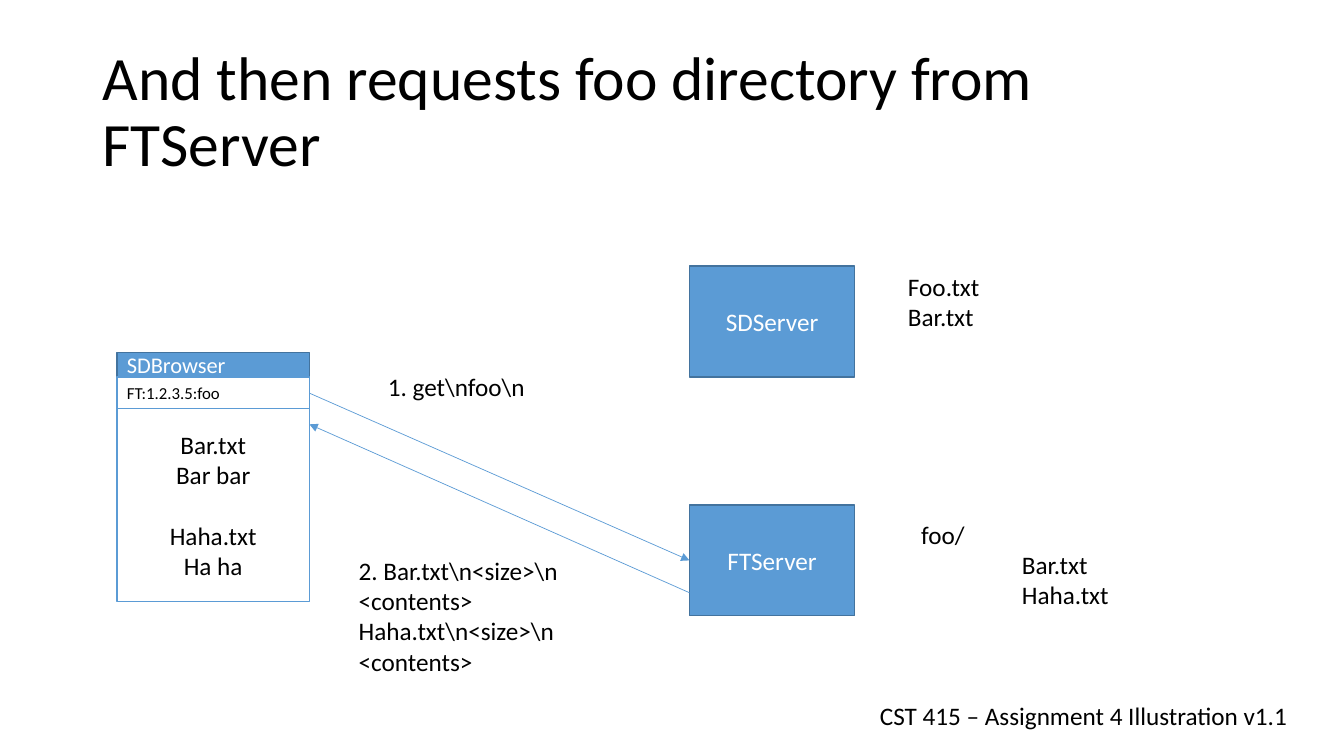
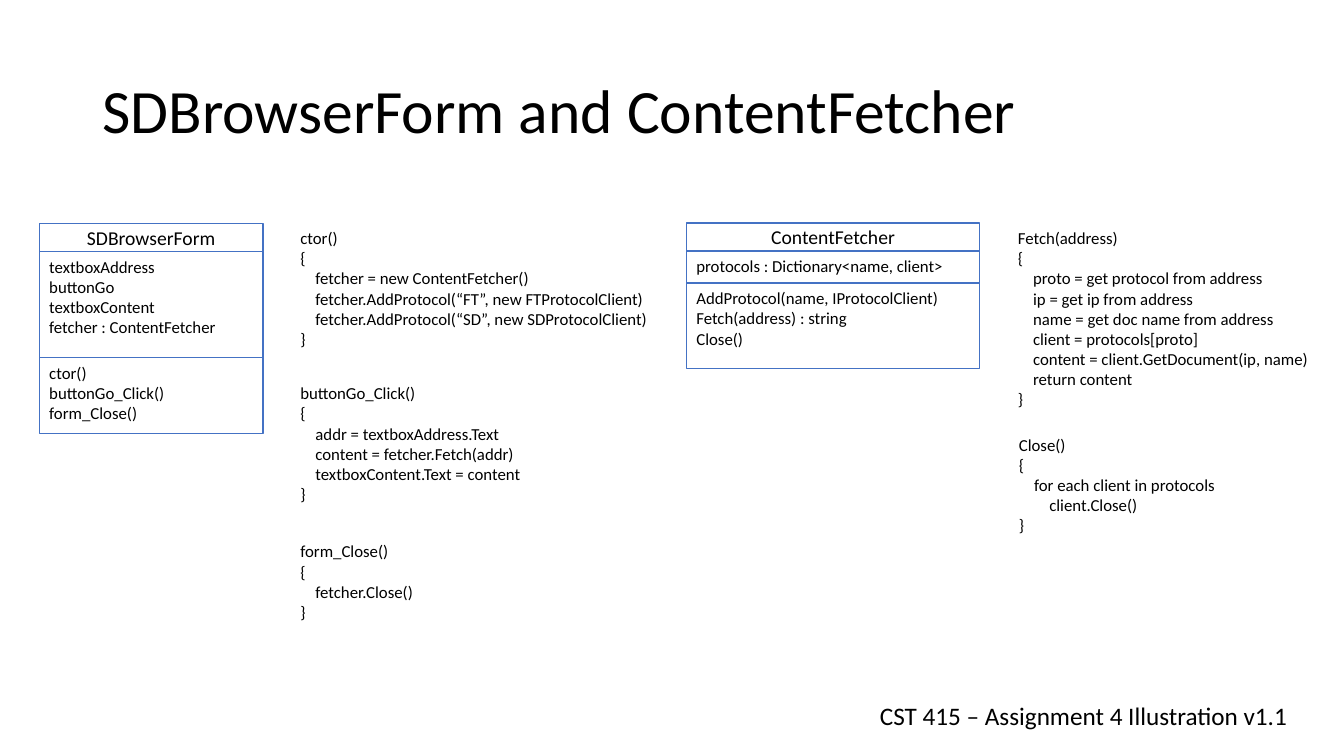
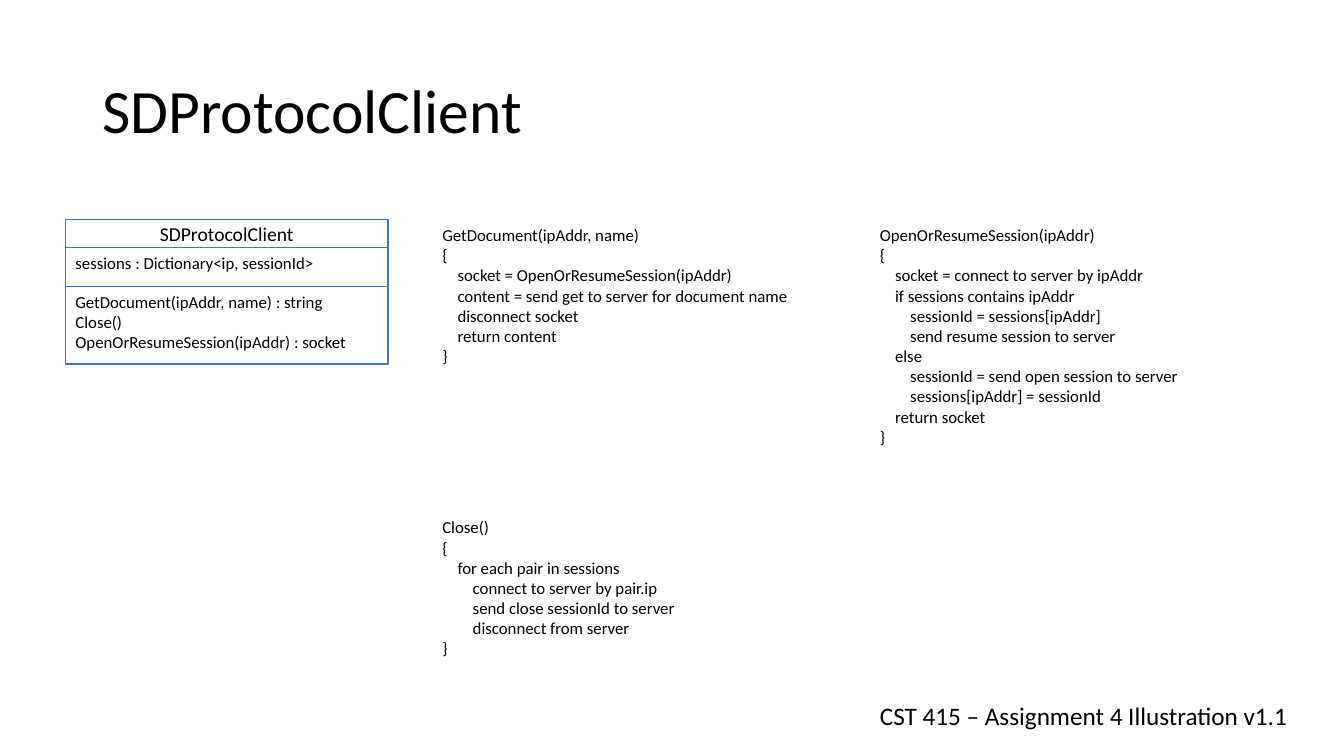
import pptx
import pptx.dml.color
import pptx.enum.shapes
import pptx.enum.text
import pptx.oxml.ns
import pptx.util
import lxml.etree

Pt = pptx.util.Pt
RGBColor = pptx.dml.color.RGBColor
ALIGN = pptx.enum.text.PP_ALIGN
ANCHOR = pptx.enum.text.MSO_ANCHOR

BLACK = RGBColor(0x00, 0x00, 0x00)
WHITE = RGBColor(0xFF, 0xFF, 0xFF)
SKY = RGBColor(0x5B, 0x9B, 0xD5)
SKY_EDGE = RGBColor(0x43, 0x73, 0x9E)
ROYAL = RGBColor(0x44, 0x72, 0xC4)

FONT = "Calibri"
LINE_HEIGHT = 1.22
CODE_SIZE = 12
CODE_INDENT = 10.85
FOOTER = "CST 415 – Assignment 4 Illustration v1.1"


def write_text(frame, lines, size=18, color=BLACK, align=ALIGN.LEFT,
               anchor=ANCHOR.TOP, indent=CODE_INDENT, spacing=None):
    """Each leading tab indents a line; an empty line becomes space before the next."""
    frame.word_wrap = True
    frame.auto_size = pptx.enum.text.MSO_AUTO_SIZE.NONE
    frame.vertical_anchor = anchor
    paragraph = frame.paragraphs[0]
    gap = 0
    for number, line in enumerate(lines):
        if not line:
            gap += size * LINE_HEIGHT
            continue
        if number:
            paragraph = frame.add_paragraph()
        words = line.lstrip("\t")
        depth = len(line) - len(words)
        properties = paragraph._p.get_or_add_pPr()
        properties.set("marL", str(Pt(depth * indent)))
        properties.set("indent", "0")
        paragraph.alignment = align
        paragraph.space_before = Pt(gap)
        if spacing:
            paragraph.line_spacing = spacing
        gap = 0
        run = paragraph.add_run()
        run.text = words
        run.font.name = FONT
        run.font.size = Pt(size)
        run.font.color.rgb = color


class Deck:
    def __init__(self):
        self.presentation = pptx.Presentation()
        self.presentation.slide_width = Pt(960)
        self.presentation.slide_height = Pt(540)
        self.slide = None

    def add_slide(self, title):
        layout = self.presentation.slide_layouts[5]
        self.slide = self.presentation.slides.add_slide(layout)
        shape = self.slide.shapes.title
        shape.left, shape.top, shape.width, shape.height = Pt(66), Pt(28.8), Pt(828), Pt(104.4)
        write_text(shape.text_frame, [title], size=44, anchor=ANCHOR.MIDDLE, spacing=0.9)
        self.label(621.4, 496.8, 320, 28.8, [FOOTER])

    def label(self, left, top, width, height, lines, **text_format):
        shape = self.slide.shapes.add_textbox(Pt(left), Pt(top), Pt(width), Pt(height))
        write_text(shape.text_frame, lines, **text_format)

    def code(self, left, top, width, lines):
        height = len(lines) * CODE_SIZE * LINE_HEIGHT + 7.2
        self.label(left, top, width, height, lines, size=CODE_SIZE)

    def box(self, left, top, width, height, lines, fill=WHITE, edge=SKY, **text_format):
        shape = self.slide.shapes.add_shape(
            pptx.enum.shapes.MSO_SHAPE.RECTANGLE, Pt(left), Pt(top), Pt(width), Pt(height))
        shape.shadow.inherit = False
        shape.fill.solid()
        shape.fill.fore_color.rgb = fill
        shape.line.color.rgb = edge
        shape.line.width = Pt(1)
        write_text(shape.text_frame, lines, **text_format)

    def server(self, top, name):
        self.box(492.5, top, 118.1, 79.2, [name], fill=SKY, edge=SKY_EDGE,
                 color=WHITE, align=ALIGN.CENTER, anchor=ANCHOR.MIDDLE)

    def class_diagram(self, left, top, width, name, sections):
        name_height = 20
        self.box(left, top, width, name_height, [name], edge=ROYAL, size=14,
                 align=ALIGN.CENTER, anchor=ANCHOR.MIDDLE)
        top += name_height
        for height, members in sections:
            self.box(left, top, width, height, members, edge=ROYAL, size=CODE_SIZE)
            top += height

    def arrow(self, start_x, start_y, end_x, end_y):
        connector = self.slide.shapes.add_connector(
            pptx.enum.shapes.MSO_CONNECTOR.STRAIGHT,
            Pt(start_x), Pt(start_y), Pt(end_x), Pt(end_y))
        connector.line.color.rgb = SKY
        connector.line.width = Pt(0.5)
        qualified = pptx.oxml.ns.qn
        line = connector.line._get_or_add_ln()
        lxml.etree.SubElement(line, qualified("a:tailEnd"), type="triangle")
        lxml.etree.SubElement(connector._element.spPr, qualified("a:effectLst"))


def build_request(deck):
    deck.add_slide("And then requests foo directory from FTServer")
    left, width = 83.5, 137.5
    deck.box(left, 252, width, 17.3, ["SDBrowser"], fill=SKY, edge=SKY_EDGE,
             size=16, color=WHITE, anchor=ANCHOR.MIDDLE)
    deck.box(left, 269.3, width, 22.7, ["FT:1.2.3.5:foo"], size=12, anchor=ANCHOR.MIDDLE)
    deck.box(left, 292, width, 137.7, ["Bar.txt", "Bar bar", "", "Haha.txt", "Ha ha"],
             align=ALIGN.CENTER, anchor=ANCHOR.MIDDLE)
    deck.server(190, "SDServer")
    deck.server(360.7, "FTServer")
    deck.label(650.9, 367.2, 150, 72.7, ["foo/", "\tBar.txt", "\tHaha.txt"], indent=72)
    deck.label(641.5, 190, 80, 51, ["Foo.txt", "Bar.txt"])
    deck.arrow(221, 280.8, 492.5, 400.3)
    deck.arrow(492.5, 423.4, 221, 303.1)
    deck.label(270, 262, 130, 28.8, ["1. get\\nfoo\\n"])
    deck.label(249.1, 393.1, 170, 94.3, [
        "2. Bar.txt\\n<size>\\n", "<contents>", "Haha.txt\\n<size>\\n", "<contents>"])


def build_browser_form(deck):
    deck.add_slide("SDBrowserForm and ContentFetcher")
    deck.class_diagram(28.1, 159.5, 159.8, "SDBrowserForm", [
        (76, ["textboxAddress", "buttonGo", "textboxContent", "fetcher : ContentFetcher"]),
        (54, ["ctor()", "buttonGo_Click()", "form_Close()"]),
    ])
    deck.class_diagram(490.3, 159.2, 209.5, "ContentFetcher", [
        (23, ["protocols : Dictionary<name, client>"]),
        (61.2, ["AddProtocol(name, IProtocolClient)", "Fetch(address) : string", "Close()"]),
    ])
    deck.code(207.4, 159.2, 273, [
        "ctor()",
        "{",
        "\tfetcher = new ContentFetcher()",
        "\tfetcher.AddProtocol(“FT”, new FTProtocolClient)",
        "\tfetcher.AddProtocol(“SD”, new SDProtocolClient)",
        "}",
    ])
    deck.code(207.4, 270, 210, [
        "buttonGo_Click()",
        "{",
        "\taddr = textboxAddress.Text",
        "\tcontent = fetcher.Fetch(addr)",
        "\ttextboxContent.Text = content",
        "}",
    ])
    deck.code(207.4, 383, 106, ["form_Close()", "{", "\tfetcher.Close()", "}"])
    deck.code(720, 159.2, 236, [
        "Fetch(address)",
        "{",
        "\tproto = get protocol from address",
        "\tip = get ip from address",
        "\tname = get doc name from address",
        "\tclient = protocols[proto]",
        "\tcontent = client.GetDocument(ip, name)",
        "\treturn content",
        "}",
    ])
    deck.code(720.7, 306.7, 183, [
        "Close()",
        "{",
        "\tfor each client in protocols",
        "\t\tclient.Close()",
        "}",
    ])


def build_protocol_client(deck):
    deck.add_slide("SDProtocolClient")
    deck.class_diagram(46.8, 157, 230.4, "SDProtocolClient", [
        (27.6, ["sessions : Dictionary<ip, sessionId>"]),
        (55.4, ["GetDocument(ipAddr, name) : string", "Close()",
                "OpenOrResumeSession(ipAddr) : socket"]),
    ])
    deck.code(308.9, 157, 280, [
        "GetDocument(ipAddr, name)",
        "{",
        "\tsocket = OpenOrResumeSession(ipAddr)",
        "\tcontent = send get to server for document name",
        "\tdisconnect socket",
        "\treturn content",
        "}",
    ])
    deck.code(308.9, 365.8, 183, [
        "Close()",
        "{",
        "\tfor each pair in sessions",
        "\t\tconnect to server by pair.ip",
        "\t\tsend close sessionId to server",
        "\t\tdisconnect from server",
        "}",
    ])
    deck.code(621.4, 157, 280, [
        "OpenOrResumeSession(ipAddr)",
        "{",
        "\tsocket = connect to server by ipAddr",
        "\tif sessions contains ipAddr",
        "\t\tsessionId = sessions[ipAddr]",
        "\t\tsend resume session to server",
        "\telse",
        "\t\tsessionId = send open session to server",
        "\t\tsessions[ipAddr] = sessionId",
        "\treturn socket",
        "}",
    ])


def main():
    deck = Deck()
    build_request(deck)
    build_browser_form(deck)
    build_protocol_client(deck)
    deck.presentation.save("out.pptx")


if __name__ == "__main__":
    main()
